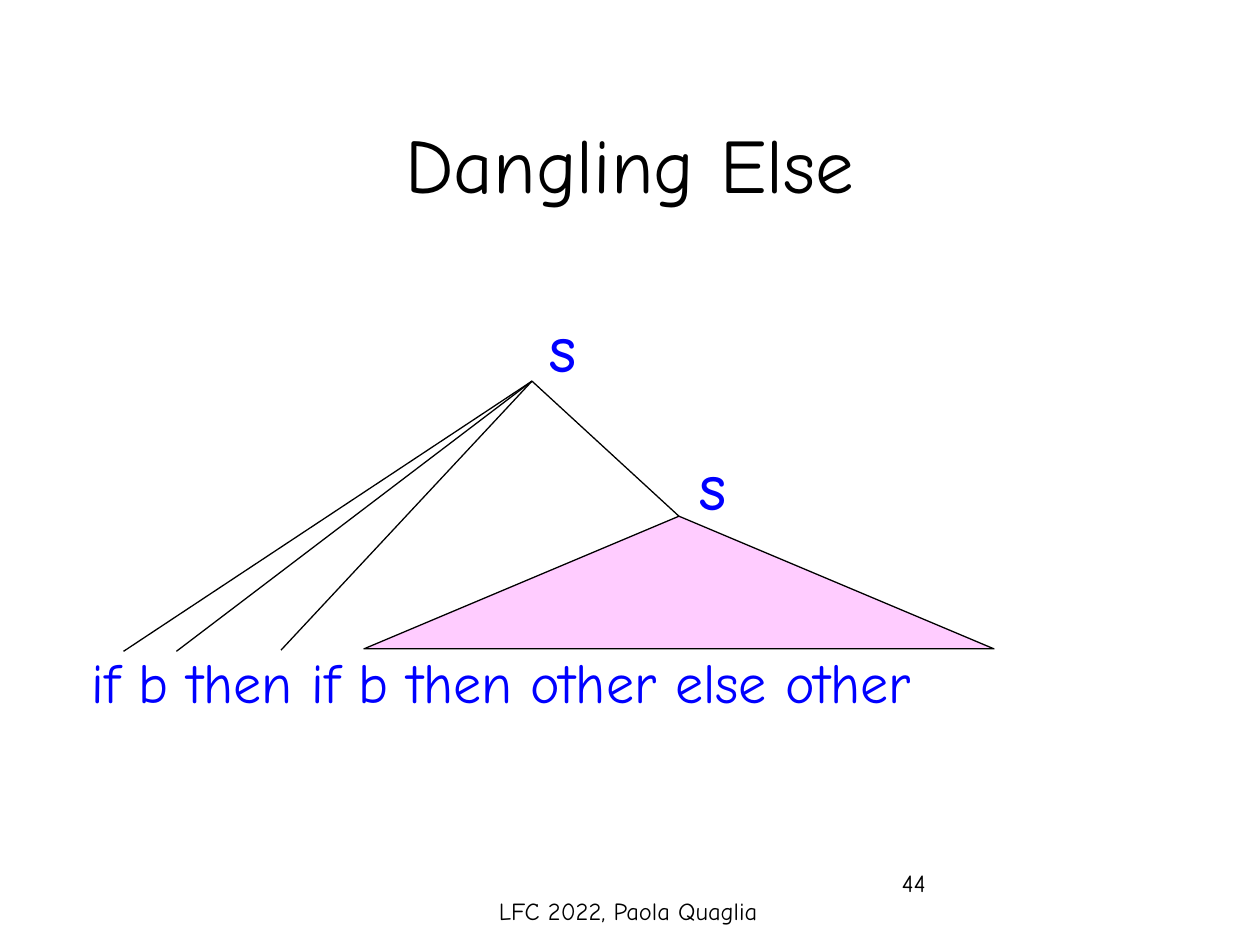
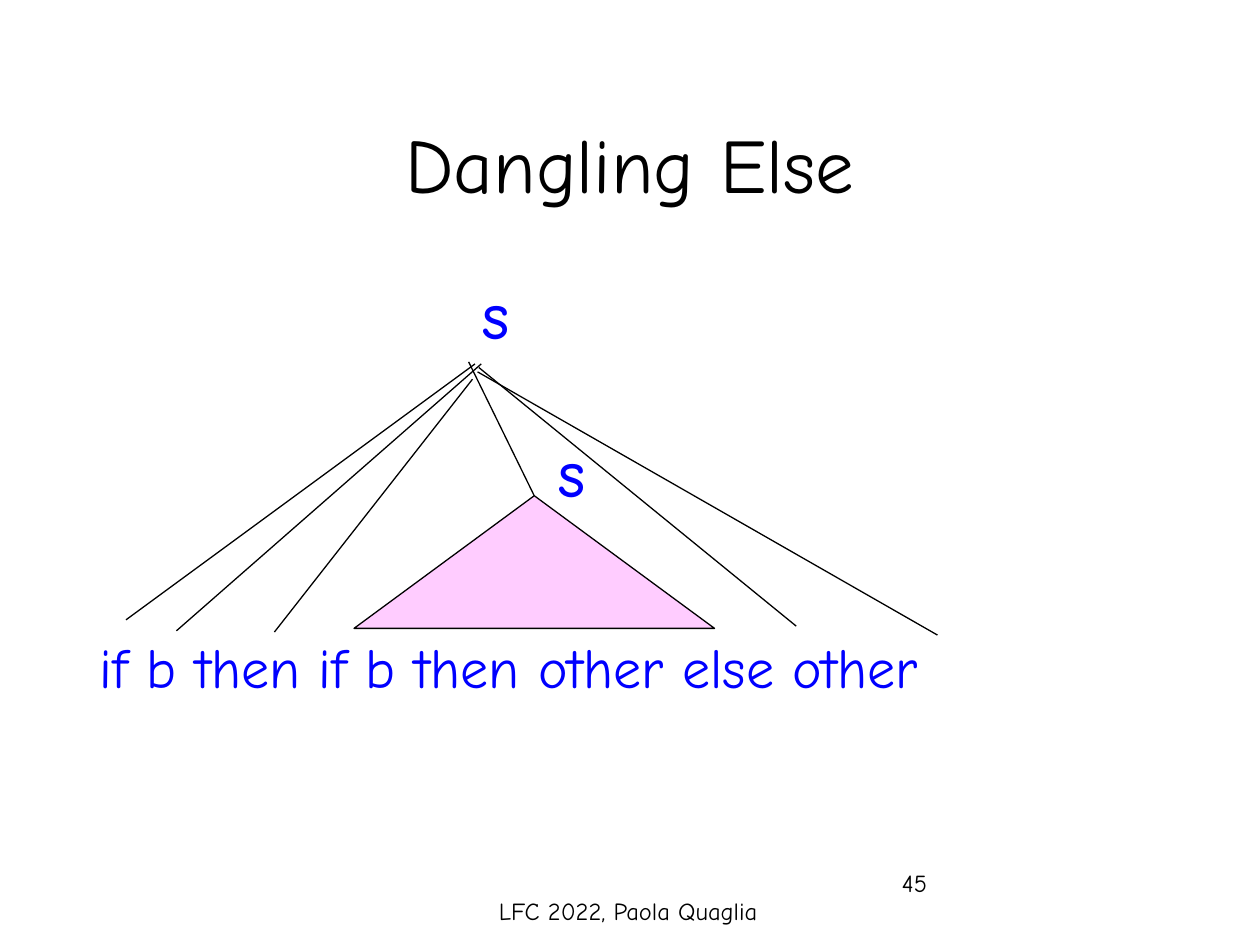
from pptx import Presentation
from pptx.dml.color import RGBColor
from pptx.enum.shapes import MSO_CONNECTOR, MSO_SHAPE
from pptx.enum.text import MSO_ANCHOR, PP_ALIGN
from pptx.oxml.ns import qn
from pptx.util import Pt
from lxml.etree import SubElement

# Shared style
FONT = "Comic Neue"
BLACK, BLUE, PINK = "000000", "0000FF", "FFCCFF"
LINE_WIDTH = 0.75
TITLE = "Dangling Else"
SENTENCE = "if b then if b then other else other"
FOOTER = "LFC 2022, Paola Quaglia"


def colour(hex_value):
    return RGBColor.from_string(hex_value)


def write(shape, text, size, hex_value, align=PP_ALIGN.LEFT, bold=False):
    frame = shape.text_frame
    frame.word_wrap = True
    frame.text = text
    para = frame.paragraphs[0]
    para.alignment = align
    font = para.runs[0].font
    font.name, font.size, font.bold = FONT, Pt(size), bold
    font.color.rgb = colour(hex_value)


def place(shape, left, top, width, height):
    shape.left, shape.top = Pt(left), Pt(top)
    shape.width, shape.height = Pt(width), Pt(height)


def add_text(page, area, text, size, hex_value, **style):
    box = page.shapes.add_textbox(*map(Pt, area))
    write(box, text, size, hex_value, **style)


def add_branch(page, start, end):
    branch = page.shapes.add_connector(
        MSO_CONNECTOR.STRAIGHT, *map(Pt, (*start, *end)))
    branch.line.color.rgb = colour(BLACK)
    branch.line.width = Pt(LINE_WIDTH)
    SubElement(branch._element.spPr, qn("a:effectLst"))


def add_subtree(page, area):
    subtree = page.shapes.add_shape(
        MSO_SHAPE.ISOSCELES_TRIANGLE, *map(Pt, area))
    subtree.shadow.inherit = False
    subtree.fill.solid()
    subtree.fill.fore_color.rgb = colour(PINK)
    subtree.line.color.rgb = colour(BLACK)
    subtree.line.width = Pt(LINE_WIDTH)


def add_symbol(page, left, top):
    add_text(page, (left, top, 43.2, 41), "S", 28, BLUE,
             align=PP_ALIGN.RIGHT, bold=True)


def add_page(deck, number):
    page = deck.slides.add_slide(deck.slide_layouts[5])
    title = page.shapes.title
    place(title, 54, 48, 612, 90)
    write(title, TITLE, 44, BLACK, align=PP_ALIGN.CENTER)
    title.text_frame.vertical_anchor = MSO_ANCHOR.MIDDLE
    # Footer and page number
    add_text(page, (245, 508.6, 228, 24), FOOTER, 14, BLACK,
             align=PP_ALIGN.CENTER)
    add_text(page, (508.3, 492.5, 150, 36), str(number), 14, BLACK)
    return page


def add_parse_tree(page, sentence_at, subtree, symbols, branches):
    add_text(page, (*sentence_at, 640, 50), SENTENCE, 32, BLUE)
    add_subtree(page, subtree)
    for start, end in branches:
        add_branch(page, start, end)
    for left, top in symbols:
        add_symbol(page, left, top)


def main():
    deck = Presentation()
    deck.slide_width, deck.slide_height = Pt(720), Pt(540)

    # The else belongs to the inner if
    root = (304, 217.8)
    leaves = [(70.6, 372.2), (100.8, 372.2), (160.6, 371.5), (388, 295)]
    add_parse_tree(
        add_page(deck, 44),
        sentence_at=(45.4, 366.5),
        subtree=(208, 295, 360, 75.8),
        symbols=[(293, 181.4), (378.7, 260)],
        branches=[(root, leaf) for leaf in leaves],
    )

    # The else belongs to the outer if
    add_parse_tree(
        add_page(deck, 45),
        sentence_at=(49.7, 357.8),
        subtree=(202.3, 283.3, 206, 75.8),
        symbols=[(254.9, 162.7), (298.1, 252.7)],
        branches=[
            ((271.4, 208), (72, 354.2)),
            ((275, 208), (100.8, 360.5)),
            ((270, 216.7), (156.8, 361.2)),
            ((267.8, 206.8), (305.3, 283.3)),
            ((273.6, 210), (455, 357.8)),
            ((272.9, 212.5), (535.7, 362.9)),
        ],
    )
    deck.save("out.pptx")


if __name__ == "__main__":
    main()
